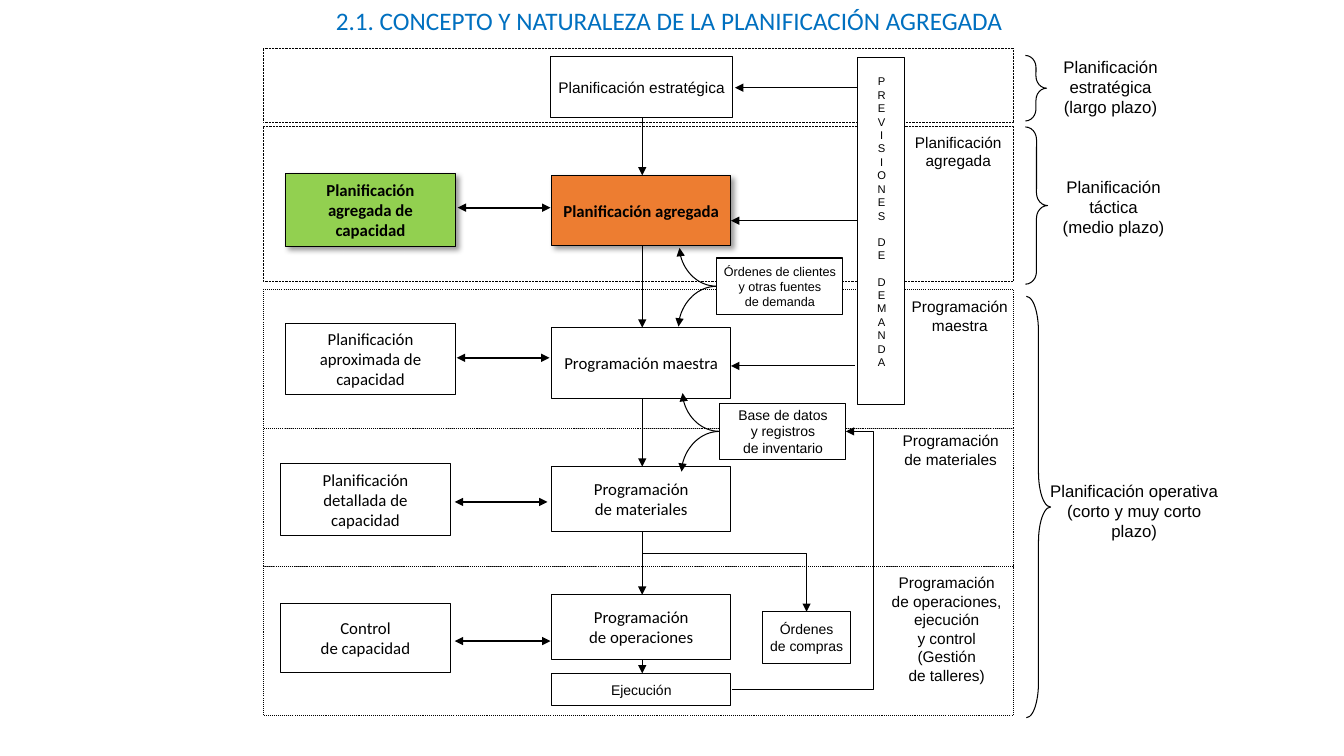
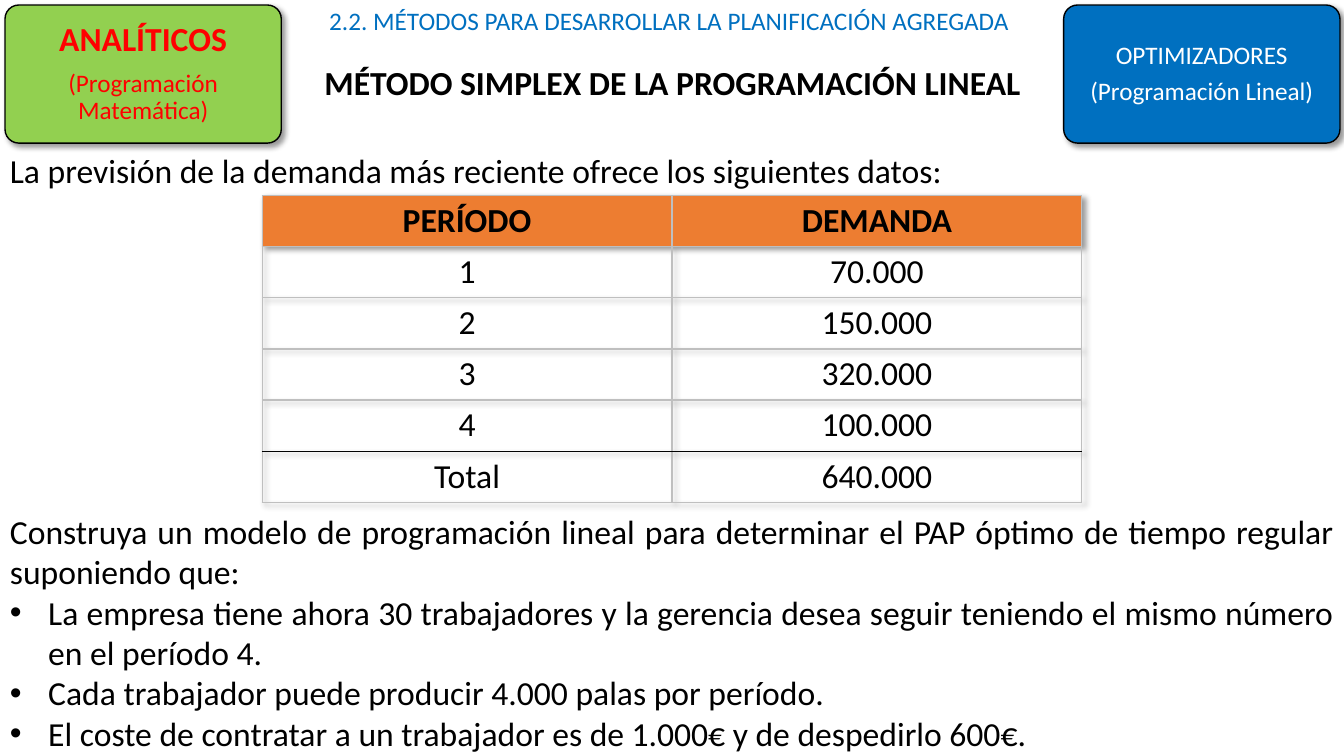
"""Build two slides on aggregate planning: the planning hierarchy and a simplex exercise."""
from lxml import etree
from pptx import Presentation
from pptx.dml.color import RGBColor
from pptx.enum.dml import MSO_LINE
from pptx.enum.shapes import MSO_CONNECTOR as LINK, MSO_SHAPE as SHAPE
from pptx.enum.text import MSO_ANCHOR as ANCHOR, MSO_AUTO_SIZE as FIT, PP_ALIGN as ALIGN
from pptx.oxml import parse_xml
from pptx.oxml.ns import nsdecls, qn
from pptx.util import Inches, Pt

HUES = {"ink": "000000", "paper": "FFFFFF", "blue": "0070C0", "green": "92D050",
        "orange": "ED7D31", "red": "FF0000", "grey": "BFBFBF"}

TITLES = ["2.1. CONCEPTO Y NATURALEZA DE LA PLANIFICACIÓN AGREGADA ",
          "2.2. MÉTODOS PARA DESARROLLAR LA PLANIFICACIÓN AGREGADA "]

BANDS = [(0.48, 0.73, 0.5), (1.25, 1.54, 0.5), (2.87, 1.38, 0.75),
         (4.25, 1.37, 0.75), (5.62, 1.48, 0.75)]
BRACES = [(10.17, 0.55, 0.21, 0.65, 0.57), (10.17, 1.26, 0.22, 1.56, 0.57),
          (10.18, 2.94, 0.24, 4.18, 1.44)]
LEVELS = [
    (10.22, 0.51, 1.59, ["Planificación estratégica", "(largo plazo)"]),
    (10.25, 1.7, 1.59, ["Planificación táctica", "(medio plazo)"]),
    (10.28, 4.72, 1.94, ["Planificación operativa", "(corto y muy corto plazo)"]),
]
STAGES = [
    (8.97, 1.27, 1.07, ["Planificación", "agregada"]),
    (8.94, 2.9, 1.16, ["Programación", "maestra"]),
    (8.85, 4.23, 1.16, ["Programación", "de materiales"]),
    (8.74, 5.64, 1.3, ["Programación", "de operaciones,", "ejecución", "y control",
                       "(Gestión", "de talleres)"]),
]
PLANS = [
    (1.74, 0.7, ["Planificación agregada"], "orange"),
    (3.25, 0.7, ["Programación maestra"], "paper"),
    (4.63, 0.64, ["Programación", "de materiales"], "paper"),
    (5.9, 0.64, ["Programación", "de operaciones"], "paper"),
]
LOADS = [
    (2.83, 1.72, 0.73, ["Planificación", "agregada de", "capacidad"], "green"),
    (2.83, 3.21, 0.7, ["Planificación", "aproximada de", "capacidad"], "paper"),
    (2.78, 4.6, 0.71, ["Planificación", "detallada de", "capacidad"], "paper"),
    (2.78, 5.99, 0.68, ["Control", "de capacidad"], "paper"),
]
NOTES = [
    (5.46, 0.56, 1.81, 0.61, 11, ["Planificación estratégica"]),
    (7.11, 2.56, 1.25, 0.56, 9, ["Órdenes de clientes", "y otras fuentes", "de demanda"]),
    (7.14, 4, 1.25, 0.56, 10, ["Base de datos", "y registros", "de inventario"]),
    (7.56, 6.07, 0.88, 0.51, 10, ["Órdenes", "de compras"]),
    (5.47, 6.68, 1.78, 0.32, 10, ["Ejecución"]),
]
FORECAST = "PREVISIONES DE DEMANDA"
DOWN = [(1.17, 1.74), (2.44, 3.25), (3.95, 4.63), (5.28, 5.9), (6.54, 6.68)]
FEEDS = [(8.5, 7.29, 0.87), (8.51, 7.25, 2.19), (8.48, 7.25, 3.63)]
TWOWAY = [(4.54, 5.46, 2.06), (4.53, 5.45, 3.55), (4.51, 5.43, 4.98), (4.51, 5.46, 6.36)]
CURVES = [(7.11, 2.84), (7.14, 4.28)]

METHOD = "MÉTODO SIMPLEX DE LA PROGRAMACIÓN LINEAL"
CARDS = [
    (0.05, "green", "red", 0.06, [("ANALÍTICOS", 24, True), ("(Programación Matemática)", 18, False)]),
    (10.55, "blue", "paper", 0.05, [("OPTIMIZADORES", 18, False), ("(Programación Lineal)", 18, False)]),
]
INTRO = "La previsión de la demanda más reciente ofrece los siguientes datos:"
DEMAND = [("PERÍODO", "DEMANDA"), ("1", "70.000"), ("2", "150.000"), ("3", "320.000"),
          ("4", "100.000"), ("Total", "640.000")]
TASK = ["Construya un modelo de programación lineal para determinar el PAP óptimo de tiempo "
        "regular suponiendo que:"]
FACTS = ["La empresa tiene ahora 30 trabajadores y la gerencia desea seguir teniendo el mismo "
         "número en el período 4.",
         "Cada trabajador puede producir 4.000 palas por período.",
         "El coste de contratar a un trabajador es de 1.000€ y de despedirlo 600€."]

SHADE = (f'<a:effectLst {nsdecls("a")}><a:outerShdw blurRad="50800" dist="38100" dir="2700000" '
         f'algn="tl" rotWithShape="0"><a:srgbClr val="{HUES["ink"]}"><a:alpha val="40000"/>'
         '</a:srgbClr></a:outerShdw></a:effectLst>')


def rgb(hue):
    return RGBColor.from_string(HUES[hue])


def style(run, size, face="Calibri", hue="ink", bold=False):
    for key, val in {"size": Pt(size), "name": face, "bold": bold}.items():
        setattr(run.font, key, val)
    run.font.color.rgb = rgb(hue)


def write(frame, lines, size, align=ALIGN.CENTER, wrap=True, anchor=ANCHOR.TOP, **look):
    form = {"word_wrap": wrap, "auto_size": FIT.NONE, "vertical_anchor": anchor}
    for key, val in form.items():
        setattr(frame, key, val)
    for i, line in enumerate(lines):
        para = frame.paragraphs[0] if i == 0 else frame.add_paragraph()
        para.alignment = align
        run = para.add_run()
        run.text = line
        style(run, size, **look)
    return frame


def place(at):
    return [Inches(n) for n in at]


def label(slide, at, lines, size, **look):
    return write(slide.shapes.add_textbox(*place(at)).text_frame, lines, size, **look)


def block(slide, kind, at, fill="paper", width=0.75, shade=False):
    shape = slide.shapes.add_shape(kind, *place(at))
    shape.shadow.inherit = False
    if fill:
        shape.fill.solid()
        shape.fill.fore_color.rgb = rgb(fill)
    else:
        shape.fill.background()
    shape.line.color.rgb = rgb("ink")
    shape.line.width = Pt(width)
    if shade:
        props = shape._element.spPr
        props.replace(props.find(qn("a:effectLst")), parse_xml(SHADE))
    return shape


def box(slide, at, lines, size, fill="paper", face="Calibri"):
    key = fill != "paper"
    shape = block(slide, SHAPE.RECTANGLE, at, fill, shade=key)
    write(shape.text_frame, lines, size, wrap=False, anchor=ANCHOR.MIDDLE, face=face, bold=key)


def arrow(slide, start, end, both=False, kind=LINK.STRAIGHT, geom=None, bend=None):
    link = slide.shapes.add_connector(kind, *place(start + end))
    link.line.color.rgb = rgb("ink")
    link.line.width = Pt(1.5 if both else 0.75)
    props = link._element.spPr
    line = props.find(qn("a:ln"))
    for tip in ["headEnd", "tailEnd"] if both else ["tailEnd"]:
        etree.SubElement(line, qn(f"a:{tip}"), type="triangle")
    etree.SubElement(props, qn("a:effectLst"))
    shape = props.find(qn("a:prstGeom"))
    if geom:
        shape.set("prst", geom)
    if bend:
        shape.remove(shape.find(qn("a:avLst")))
        guides = etree.SubElement(shape, qn("a:avLst"))
        etree.SubElement(guides, qn("a:gd"), name="adj1", fmla=f"val {round(bend * 100000)}")


def start(deck, title):
    slide = deck.slides.add_slide(deck.slide_layouts[5])
    head = slide.shapes.title
    for key, val in zip(("left", "top", "width", "height"), place((0, 0, 13.33, 0.4))):
        setattr(head, key, val)
    write(head.text_frame, [title], 18, hue="blue")
    return slide


def levels(deck):
    slide = start(deck, TITLES[0])
    for top, high, width in BANDS:
        band = block(slide, SHAPE.RECTANGLE, (2.61, top, 7.44, high), width=width)
        band.line.dash_style = MSO_LINE.ROUND_DOT
    for *at, bend in BRACES:
        brace = block(slide, SHAPE.RIGHT_BRACE, at, None)
        brace.adjustments[0] = bend
    for left, top, wide, lines in LEVELS:
        label(slide, (left, top, wide, 0.71), lines, 12, face="Arial")
    for left, top, wide, lines in STAGES:
        label(slide, (left, top, wide, 0.47), lines, 11, wrap=False, face="Arial")
    for top, high, lines, fill in PLANS:
        box(slide, (5.47, top, 1.78, high), lines, 12, fill)
    for left, top, high, lines, fill in LOADS:
        box(slide, (left, top, 1.69, high), lines, 12, fill)
    for *at, size, lines in NOTES:
        box(slide, at, lines, size, face="Arial")

    block(slide, SHAPE.RECTANGLE, (8.51, 0.57, 0.46, 3.44))
    frame = label(slide, (8.57, 0.67, 0.35, 3.06), FORECAST.replace(" ", ""), 8,
                  face="Arial", anchor=ANCHOR.MIDDLE)
    spot = 0
    for word in FORECAST.split()[:-1]:
        spot += len(word)
        frame.paragraphs[spot].space_before = Pt(9.2)

    for top, foot in DOWN:
        arrow(slide, (6.37, top), (6.37, foot))
    for left, right, y in FEEDS:
        arrow(slide, (left, y), (right, y))
    for left, right, y in TWOWAY:
        arrow(slide, (left, y), (right, y), both=True)
    for x, y in CURVES:
        for dx, dy in [(0.37, -0.38), (0.38, 0.4)]:
            arrow(slide, (x, y), (x - dx, y + dy), kind=LINK.CURVE, geom="curvedConnector2")
    arrow(slide, (6.37, 5.49), (8, 6.07), kind=LINK.ELBOW, geom="bentConnector2")
    arrow(slide, (7.26, 6.84), (8.39, 4.28), kind=LINK.ELBOW, bend=1.24)


def edge(cell, side, hue):
    line = etree.SubElement(cell._tc.get_or_add_tcPr(), qn(f"a:ln{side}"), w=str(Pt(1)))
    fill = etree.SubElement(line, qn("a:solidFill"))
    etree.SubElement(fill, qn("a:srgbClr"), val=HUES[hue])


def grid(slide):
    count = len(DEMAND)
    table = slide.shapes.add_table(count, 2, *place((2.6, 1.94, 8.13, 0.5 * count))).table
    table.first_row = table.horz_banding = False
    table._tbl.tblPr.insert(0, parse_xml(SHADE))
    for r, row in enumerate(DEMAND):
        for c, text in enumerate(row):
            cell = table.cell(r, c)
            dark = {"T": r == count - 1, "B": r == count - 2}
            for side in "LRTB":
                edge(cell, side, "ink" if dark.get(side) else "grey")
            if r:
                cell.fill.background()
            else:
                cell.fill.solid()
                cell.fill.fore_color.rgb = rgb("orange")
            para = cell.text_frame.paragraphs[0]
            para.alignment = ALIGN.CENTER
            run = para.add_run()
            run.text = text
            style(run, 24, bold=r == 0)


def simplex(deck):
    slide = start(deck, TITLES[1])
    label(slide, (2.58, 0.57, 8.18, 0.5), [METHOD], 24, bold=True)
    for left, fill, hue, inset, lines in CARDS:
        card = block(slide, SHAPE.ROUNDED_RECTANGLE, (left, 0.05, 2.74, 1.37), fill, 1, True)
        card.adjustments[0] = 0.1
        frame = write(card.text_frame, [text for text, *_ in lines], 18,
                      anchor=ANCHOR.MIDDLE, hue=hue)
        for side in ("left", "right", "top", "bottom"):
            setattr(frame, f"margin_{side}", Inches(inset))
        for para, (_, size, bold) in zip(frame.paragraphs, lines):
            para.line_spacing = 0.9
            para.space_after = Pt(size * 0.35)
            style(para.runs[0], size, hue=hue, bold=bold)
    label(slide, (0, 1.44, 13.33, 0.5), [INTRO], 24, align=ALIGN.JUSTIFY)
    grid(slide)
    frame = label(slide, (0, 5.02, 13.33, 2.52), TASK + FACTS, 24, align=ALIGN.JUSTIFY)
    for para in frame.paragraphs[len(TASK):]:
        props = para._p.get_or_add_pPr()
        props.set("marL", str(Inches(0.38)))
        props.set("indent", str(-Inches(0.38)))
        etree.SubElement(props, qn("a:buFont"), typeface="Arial")
        etree.SubElement(props, qn("a:buChar"), char="•")


def main():
    deck = Presentation()
    deck.slide_width, deck.slide_height = place((13.33, 7.5))
    levels(deck)
    simplex(deck)
    deck.save("out.pptx")


if __name__ == "__main__":
    main()
